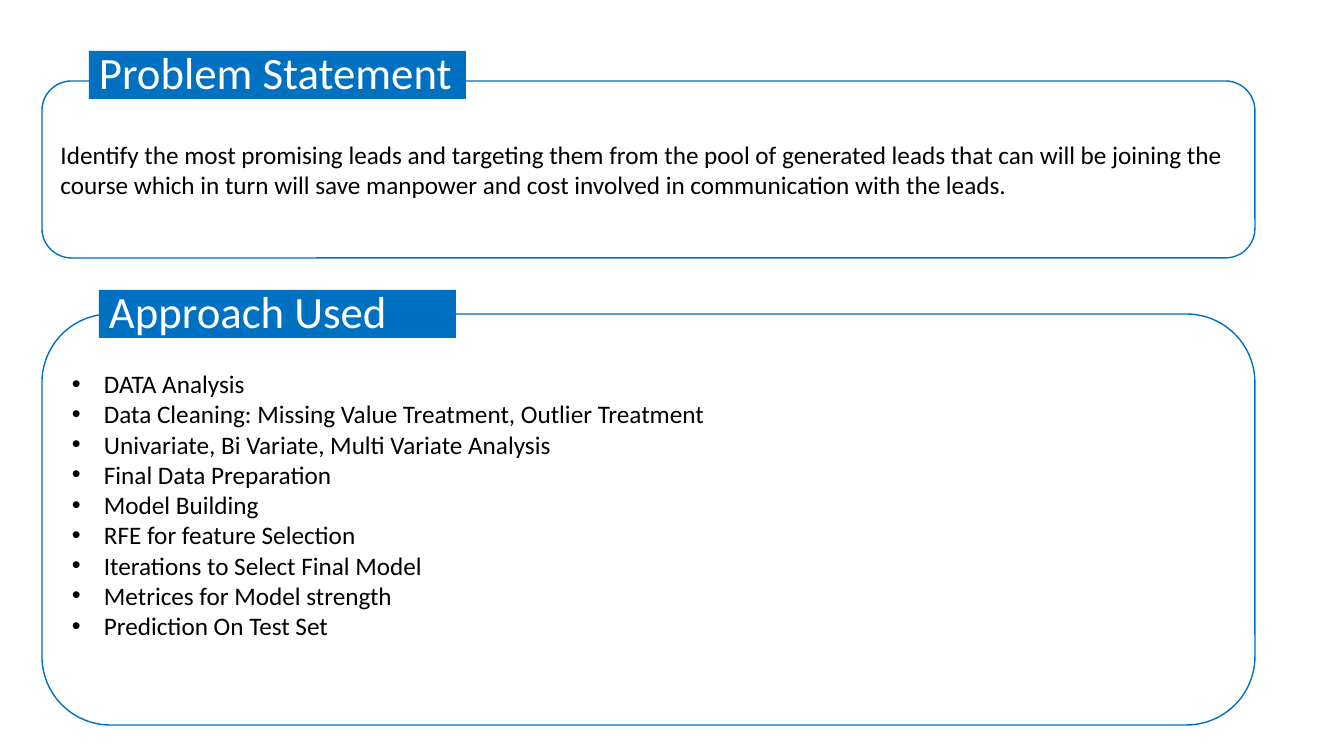
from dataclasses import dataclass

from lxml.etree import SubElement
from pptx import Presentation
from pptx.dml.color import RGBColor
from pptx.enum.shapes import MSO_SHAPE
from pptx.enum.text import MSO_ANCHOR, PP_ALIGN
from pptx.oxml.ns import qn
from pptx.shapes.autoshape import Shape
from pptx.slide import Slide
from pptx.util import Emu, Pt

BLUE, WHITE, BLACK = "0070C0", "FFFFFF", "000000"
FONT = "Calibri"


@dataclass
class Box:
    left: int
    top: int
    width: int
    height: int


@dataclass
class Panel:
    title: str
    label: Box
    frame: Box
    lines: list[str]
    bullets: bool = False
    base: int = 5  # bottom inset of the frame text


PANELS = [
    Panel(
        "Problem Statement", Box(89, 51, 377, 48), Box(42, 81, 1213, 177),
        ["Identify the most promising leads and targeting them from the pool of "
         "generated leads that can will be joining the course which in turn will "
         "save manpower and cost involved in communication with the leads."],
    ),
    Panel(
        "Approach Used", Box(99, 290, 357, 48), Box(42, 314, 1213, 411),
        ["DATA Analysis",
         "Data Cleaning: Missing Value Treatment, Outlier Treatment",
         "Univariate, Bi Variate, Multi Variate Analysis",
         "Final Data Preparation",
         "Model Building",
         "RFE for feature Selection",
         "Iterations to Select Final Model",
         "Metrices for Model strength",
         "Prediction On Test Set"],
        bullets=True, base=35,
    ),
]


def px(count: int) -> Emu:
    return Emu(round(count * 914400 / 100.8))


def color(code: str) -> RGBColor:
    return RGBColor.from_string(code)


def add_box(slide: Slide, kind: MSO_SHAPE, box: Box) -> Shape:
    shape = slide.shapes.add_shape(
        kind, px(box.left), px(box.top), px(box.width), px(box.height))
    shape.shadow.inherit = False
    return shape


def add_bullet(para) -> None:
    props = para._p.get_or_add_pPr()
    props.set("marL", str(px(32)))
    props.set("indent", str(-px(32)))
    SubElement(props, qn("a:buFont"), typeface="Arial")
    SubElement(props, qn("a:buChar"), char="•")


def write(shape: Shape, lines: list[str], size: int, ink: str,
          space: float = 1.0, bullets: bool = False, base: int = 5) -> None:
    frame = shape.text_frame
    frame.word_wrap = True
    frame.vertical_anchor = MSO_ANCHOR.MIDDLE
    frame.margin_bottom = px(base)
    for i, line in enumerate(lines):
        para = frame.add_paragraph() if i else frame.paragraphs[0]
        para.alignment = PP_ALIGN.LEFT
        para.line_spacing = space
        if bullets:
            add_bullet(para)
        run = para.add_run()
        run.text = line
        run.font.name = FONT
        run.font.size = Pt(size)
        run.font.color.rgb = color(ink)


def add_panel(slide: Slide, panel: Panel) -> None:
    # Rounded outline with the body text
    frame = add_box(slide, MSO_SHAPE.ROUNDED_RECTANGLE, panel.frame)
    frame.fill.background()
    frame.line.color.rgb = color(BLUE)
    frame.line.width = Pt(1)
    write(frame, panel.lines, 18, BLACK,
          bullets=panel.bullets, base=panel.base)

    # Heading label over the top edge
    label = add_box(slide, MSO_SHAPE.RECTANGLE, panel.label)
    label.fill.solid()
    label.fill.fore_color.rgb = color(BLUE)
    label.line.fill.background()
    write(label, [panel.title], 32, WHITE, space=0.9)


def main() -> None:
    deck = Presentation()
    deck.slide_width, deck.slide_height = px(1344), px(756)
    slide = deck.slides.add_slide(deck.slide_layouts[6])
    for panel in PANELS:
        add_panel(slide, panel)
    deck.save("out.pptx")


if __name__ == "__main__":
    main()
